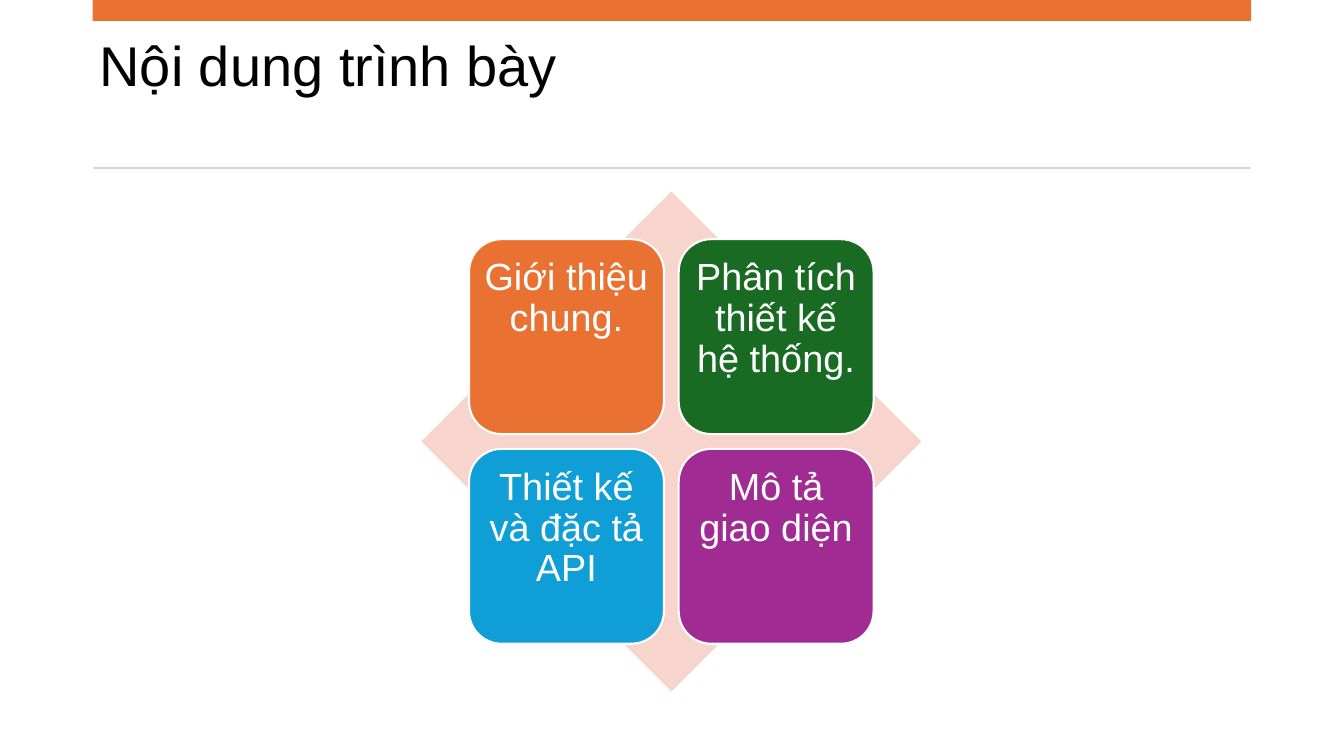
from lxml import etree
from pptx import Presentation
from pptx.dml.color import RGBColor
from pptx.enum.shapes import MSO_CONNECTOR, MSO_SHAPE
from pptx.enum.text import MSO_ANCHOR, MSO_AUTO_SIZE, PP_ALIGN
from pptx.oxml.ns import qn
from pptx.util import Emu, Pt

PX = 9144  # 100 px to the inch
RECT, DIAMOND = MSO_SHAPE.RECTANGLE, MSO_SHAPE.DIAMOND
ROUNDED = MSO_SHAPE.ROUNDED_RECTANGLE
LEFT, CENTER = PP_ALIGN.LEFT, PP_ALIGN.CENTER
ORANGE, WHITE = "E97132", "FFFFFF"
TOPICS = [
    ("Giới thiệu chung.", ORANGE),
    ("Phân tích thiết kế hệ thống.", "196B24"),
    ("Thiết kế và đặc tả API", "0F9ED5"),
    ("Mô tả giao diện", "A02B93"),
]


def px(*values):
    return [Emu(v * PX) for v in values]


def rgb(value):
    return RGBColor.from_string(value)


def add_filled(s, kind, box, fill):
    sp = s.shapes.add_shape(kind, *px(*box))
    sp.shadow.inherit = False
    sp.fill.solid()
    sp.fill.fore_color.rgb = rgb(fill)
    sp.line.fill.background()
    return sp


def write(sp, text, size, spacing, color, align, margins):
    tf = sp.text_frame
    sides = ("margin_left", "margin_top", "margin_right", "margin_bottom")
    frame = dict(zip(sides, px(*margins)), word_wrap=True,
                 auto_size=MSO_AUTO_SIZE.NONE, vertical_anchor=MSO_ANCHOR.TOP)
    for name, value in frame.items():
        setattr(tf, name, value)
    p = tf.paragraphs[0]
    p.alignment = align
    p.line_spacing = Pt(spacing)
    p.space_before = Pt(0)
    r = p.add_run()
    r.text = text
    for name, value in {"name": "Arial", "size": Pt(size), "bold": False}.items():
        setattr(r.font, name, value)
    r.font.color.rgb = rgb(color)


def add_header(s, x, y, w, h):
    """Orange band, title and a grey rule along the bottom of the box."""
    add_filled(s, RECT, (x, y, w, 31), ORANGE)
    title = s.shapes.title
    title.left, title.top, title.width, title.height = px(x + 10, y + 55, w - 20, 172)
    write(title, "Nội dung trình bày", 60, 64.8, "000000", LEFT, (0, 0, 0, 0))
    rule = s.shapes.add_connector(MSO_CONNECTOR.STRAIGHT, *px(x, y + h, x + w, y + h))
    rule.line.color.rgb = rgb("D5D5D5")
    rule.line.width = Pt(2)
    etree.SubElement(rule._element.spPr, qn("a:effectLst"))


def add_matrix(s, x, y, side):
    """Diamond with a two by two grid of topic tiles centred on it."""
    add_filled(s, DIAMOND, (x, y, side, side), "F7D5CD")
    tile, gap = 290, 22
    inset = (side - 2 * tile - gap) // 2
    for i, (text, fill) in enumerate(TOPICS):
        row, col = divmod(i, 2)
        left = x + inset + col * (tile + gap)
        top = y + inset + row * (tile + gap)
        sp = add_filled(s, ROUNDED, (left, top, tile, tile), fill)
        sp.line.color.rgb = rgb(WHITE)
        sp.line.width = Pt(2.25)
        write(sp, text, 40.5, 43.7, WHITE, CENTER, (9, 13, 9, 13))


def main():
    prs = Presentation()
    prs.slide_width, prs.slide_height = px(2000, 1125)
    s = prs.slides.add_slide(prs.slide_layouts[5])
    add_header(s, 138, 0, 1724, 250)
    add_matrix(s, 627, 285, 744)
    prs.save("out.pptx")


if __name__ == "__main__":
    main()
